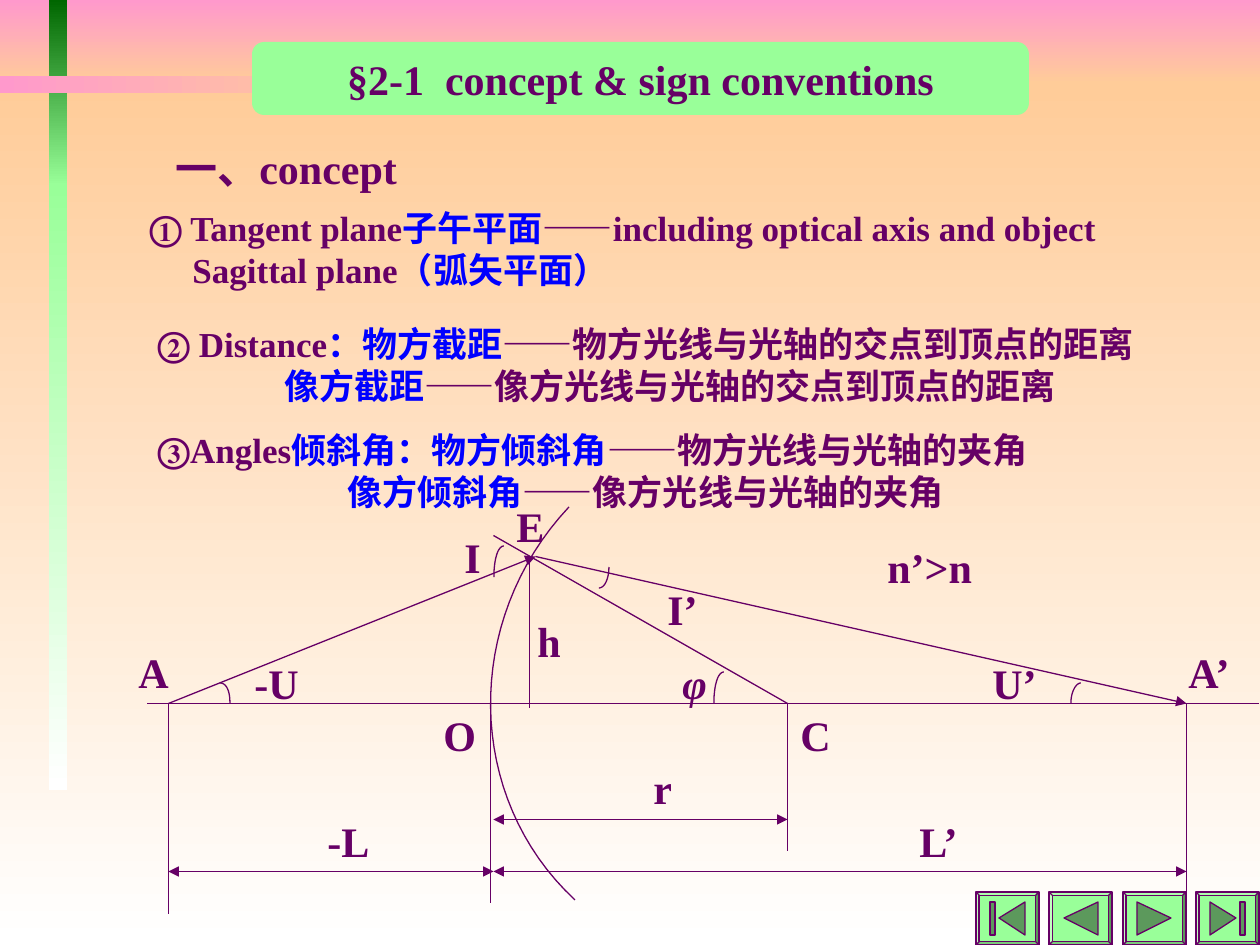
from lxml.etree import SubElement
from pptx import Presentation
from pptx.dml.color import RGBColor
from pptx.enum.shapes import MSO_CONNECTOR, MSO_SHAPE
from pptx.enum.text import MSO_ANCHOR, MSO_AUTO_SIZE, PP_ALIGN
from pptx.oxml.ns import qn
from pptx.util import Pt

SCALE = 914400 / 126
FINE = 100
HALF = 0.5
FONT = "Times New Roman"
PURPLE, BLUE, GREEN, ICON = "660066", "0000FF", "99FF99", "5C995C"
PINK, PEACH, WHITE, DARK_GREEN = "FF99CC", "FFCC99", "FFFFFF", "006600"

bands = [
    ((0, 0, 1260, 84), PINK, PEACH, 270),
    ((0, 84, 1260, 861), PEACH, WHITE, 270),
    ((49, 0, 18, 186), DARK_GREEN, GREEN, 270),
    ((49, 184, 18, 606), GREEN, WHITE, 270),
    ((0, 76, 364, 17), PINK, PEACH, 0),
]
title = "§2-1  concept & sign conventions"
heading = "一、concept"
definitions = [
    ((137, 200, 1016, 97), [
        (0, [("① Tangent plane", PURPLE), ("子午平面", BLUE),
             ("——including optical axis and object", PURPLE)]),
        (43, [("Sagittal plane", PURPLE), ("（弧矢平面）", BLUE)])]),
    ((145, 316, 1018, 97), [
        (0, [("② Distance", PURPLE), ("：物方截距", BLUE),
             ("——物方光线与光轴的交点到顶点的距离", PURPLE)]),
        (127, [("像方截距", BLUE),
               ("——像方光线与光轴的交点到顶点的距离", PURPLE)])]),
    ((145, 422, 915, 97), [
        (0, [("③Angles", PURPLE), ("倾斜角：物方倾斜角", BLUE),
             ("——物方光线与光轴的夹角", PURPLE)]),
        (190, [("像方倾斜角", BLUE), ("——像方光线与光轴的夹角", PURPLE)])]),
]
labels = [
    ("A’", 1176, 640, 74), ("φ", 670, 651, 54), ("U’", 980, 651, 74),
    ("-U", 242, 651, 74), ("r", 641, 756, 48), ("n’>n", 875, 535, 116),
    ("L’", 907, 809, 72), ("-L", 315, 809, 72), ("A", 126, 640, 60),
    ("h", 525, 609, 53), ("I’", 655, 577, 64), ("I", 452, 525, 47),
    ("E", 504, 494, 58), ("C", 788, 703, 60), ("O", 431, 703, 63),
]
AXIS, OBJECT, VERTEX, CENTER, IMAGE = 703, 168, 490, 787, 1186
rays = [
    (147, AXIS, 1259, AXIS, ""),
    (OBJECT, AXIS, 535, 556, "tail"),
    (535, 556, IMAGE, AXIS, "tail"),
    (493, 535, CENTER, AXIS, ""),
    (529, 561, 529, 708, ""),
    (OBJECT, AXIS, OBJECT, 913, ""),
    (VERTEX, AXIS, VERTEX, 903, ""),
    (IMAGE, AXIS, IMAGE, 903, ""),
    (CENTER, AXIS, CENTER, 850, ""),
    (OBJECT, 871, 493, 871, "head tail"),
    (493, 819, CENTER, 819, "head tail"),
    (493, 871, IMAGE, 871, "head tail"),
]
arcs = [
    ((569, 507), (462, 621), (465, 798), (575, 900)),
    ((220, 683), (226, 683), (230, 690), (230, 703)),
    ((1081, 683), (1076, 683), (1071, 692), (1071, 703)),
    ((504, 546), (498, 546), (494, 559), (494, 577)),
    ((599, 588), (605, 588), (609, 578), (609, 567)),
    ((724, 672), (718, 672), (714, 685), (714, 703)),
]
buttons = [
    [[(23, 26), (49, 10), (49, 43)], [(14, 10), (19, 10), (19, 43), (14, 43)]],
    [[(15, 26), (49, 10), (49, 43)]],
    [[(14, 10), (48, 26), (14, 43)]],
    [[(40, 26), (14, 43), (14, 10)], [(44, 10), (49, 10), (49, 43), (44, 43)]],
]


def px(value):
    return round(value * SCALE)


def color(code):
    return RGBColor.from_string(code)


def style(shape, fill=None, line=None):
    shape.shadow.inherit = False
    if fill:
        shape.fill.solid()
        shape.fill.fore_color.rgb = color(fill)
    else:
        shape.fill.background()
    if line:
        shape.line.color.rgb = color(line)
        shape.line.width = Pt(0.75)
    else:
        shape.line.fill.background()


def add_preset(kind, box):
    return slide.shapes.add_shape(kind, *map(px, box))


def add_band(box, start, end, angle):
    band = add_preset(MSO_SHAPE.RECTANGLE, box)
    style(band)
    band.fill.gradient()
    band.fill.gradient_angle = angle
    for stop, code, position in zip(band.fill.gradient_stops, (start, end), (0, 1)):
        stop.color.rgb = color(code)
        stop.position = position


def write(frame, lines, size, italic=False, align=PP_ALIGN.LEFT):
    frame.word_wrap = False
    for number, (indent, pieces) in enumerate(lines):
        paragraph = frame.add_paragraph() if number else frame.paragraphs[0]
        paragraph.alignment = align
        if indent:
            properties = paragraph._p.get_or_add_pPr()
            properties.set("marL", str(px(indent)))
            properties.set("indent", "0")
        for text, code in pieces:
            run = paragraph.add_run()
            run.text = text
            font = run.font
            font.name, font.size, font.bold = FONT, Pt(size), True
            font.color.rgb = color(code)
            if italic:
                font.italic = True


def add_text(box, lines, size, italic=False):
    frame = slide.shapes.add_textbox(*map(px, box)).text_frame
    write(frame, lines, size, italic)
    frame.auto_size = MSO_AUTO_SIZE.NONE


def add_ray(x1, y1, x2, y2, arrows):
    ray = slide.shapes.add_connector(
        MSO_CONNECTOR.STRAIGHT, *(px(value + HALF) for value in (x1, y1, x2, y2)))
    ray.line.color.rgb = color(PURPLE)
    ray.line.width = Pt(0.75)
    for end in arrows.split():
        SubElement(ray.line._get_or_add_ln(), qn(f"a:{end}End"), type="triangle")
    SubElement(ray._element.spPr, qn("a:effectLst"))


def add_outline(points, closed, fill=None):
    start, *rest = [(round(x * FINE), round(y * FINE)) for x, y in points]
    builder = slide.shapes.build_freeform(*start, scale=SCALE / FINE)
    builder.add_line_segments(rest, close=closed)
    style(builder.convert_to_shape(), fill, PURPLE)


def curve(controls, steps=32):
    for step in range(steps + 1):
        t = step / steps
        weights = ((1 - t) ** 3, 3 * t * (1 - t) ** 2, 3 * t * t * (1 - t), t ** 3)
        yield tuple(sum(w * c for w, c in zip(weights, axis))
                    for axis in zip(*controls))


deck = Presentation()
deck.slide_width, deck.slide_height = px(1260), px(945)
slide = deck.slides.add_slide(deck.slide_layouts[6])

for band in bands:
    add_band(*band)

banner = add_preset(MSO_SHAPE.ROUNDED_RECTANGLE, (252, 42, 777, 73))
style(banner, GREEN)
banner.text_frame.vertical_anchor = MSO_ANCHOR.MIDDLE
write(banner.text_frame, [(0, [(title, PURPLE)])], 24, align=PP_ALIGN.CENTER)

add_text((163, 136, 264, 63), [(0, [(heading, PURPLE)])], 24)
for box, lines in definitions:
    add_text(box, lines, 20)

for ray in rays:
    add_ray(*ray)
for controls in arcs:
    add_outline(list(curve(controls)), False)
for text, left, top, width in labels:
    add_text((left, top, width, 63), [(0, [(text, PURPLE)])], 24, text == "φ")

for index, icons in enumerate(buttons):
    left, top = 976 + 147 * index // 2, 892
    button = add_preset(MSO_SHAPE.BEVEL, (left, top, 63, 53))
    button.adjustments[0] = 0.06
    style(button, GREEN, PURPLE)
    for icon in icons:
        add_outline([(left + x, top + y) for x, y in icon], True, ICON)

deck.save("out.pptx")
